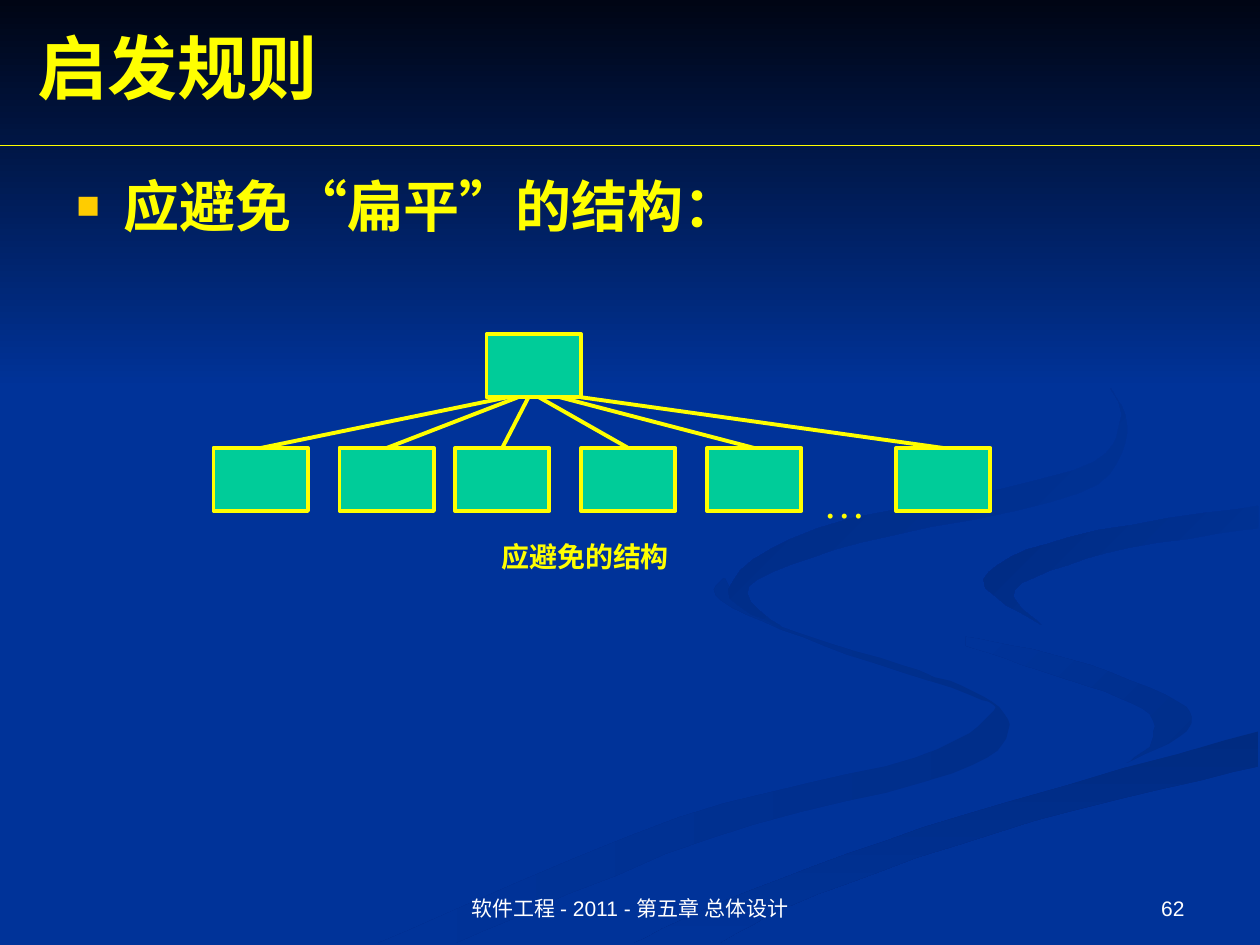
import pptx
import pptx.dml.color
import pptx.enum.shapes
import pptx.enum.text
import pptx.oxml
import pptx.oxml.ns
import pptx.util

Pt = pptx.util.Pt
RGBColor = pptx.dml.color.RGBColor
ALIGN = pptx.enum.text.PP_ALIGN
ANCHOR = pptx.enum.text.MSO_ANCHOR
RECT = pptx.enum.shapes.MSO_SHAPE.RECTANGLE
STRAIGHT = pptx.enum.shapes.MSO_CONNECTOR.STRAIGHT

BLUE = RGBColor(0x00, 0x33, 0x99)
DIM = RGBColor(0x00, 0x2E, 0x8A)
DARK = RGBColor(0x00, 0x2B, 0x81)
NIGHT = RGBColor(0x00, 0x05, 0x14)
YELLOW = RGBColor(0xFF, 0xFF, 0x00)
GREEN = RGBColor(0x00, 0xCC, 0x99)
WHITE = RGBColor(0xFF, 0xFF, 0xFF)
SERIF, SANS = "Times New Roman", "Arial"


def write(shape, text, size, font=SERIF, color=YELLOW, bold=False,
          align=ALIGN.LEFT, anchor=ANCHOR.TOP, bullet=()):
    """Fill a shape with one paragraph; bullet holds XML for its pPr."""
    tf = shape.text_frame
    tf.word_wrap = True
    tf.auto_size = pptx.enum.text.MSO_AUTO_SIZE.NONE
    tf.vertical_anchor = anchor
    p = tf.paragraphs[0]
    p.alignment = align
    p.space_before = Pt(0)
    for xml in bullet:
        p._p.get_or_add_pPr().append(pptx.oxml.parse_xml(xml))
    r = p.add_run()
    r.text = text
    r.font.name, r.font.size, r.font.bold = font, Pt(size), bold
    r.font.color.rgb = color


def shade(shape, start, end, angle):
    """Give a shape a clockwise-angled two-colour gradient and no line."""
    shape.shadow.inherit = False
    shape.line.fill.background()
    shape.fill.gradient()
    shape.fill.gradient_angle = 360 - angle
    for stop, color in zip(shape.fill.gradient_stops, (start, end)):
        stop.color.rgb = color


prs = pptx.Presentation()
prs.slide_width, prs.slide_height = Pt(720), Pt(540)
s = prs.slides.add_slide(prs.slide_layouts[1])
s.background.fill.solid()
s.background.fill.fore_color.rgb = BLUE

# Background ribbons: gradient, then the two edges as spline knots
ribbons = [
    (DIM, BLUE, 180,
     [(414, 330), (433, 353), (515, 380), (562, 398), (576, 418), (544, 442), (406, 479), (260, 539)],
     [(414, 330), (412, 343), (471, 369), (554, 397), (566, 408), (523, 433), (388, 467), (216, 539)]),
    (DIM, BLUE, 225,
     [(552, 364), (612, 377), (673, 401), (678, 418), (644, 436)],
     [(552, 369), (603, 386), (653, 405), (658, 424), (644, 436)]),
    (DARK, BLUE, 90,
     [(719, 418), (550, 466), (431, 508), (362, 539)],
     [(719, 438), (591, 469), (467, 511), (411, 539)]),
    (BLUE, DARK, 225,
     [(719, 289), (611, 307), (562, 331), (595, 357)],
     [(719, 302), (632, 316), (580, 337), (595, 357)]),
    (BLUE, DARK, 225,
     [(634, 221), (644, 248), (616, 282), (492, 310), (428, 335), (448, 360)],
     [(634, 221), (640, 241), (613, 269), (467, 302), (416, 337), (448, 360)]),
]
STEPS = 6
for start, end, angle, *edges in ribbons:
    outline = []
    for knots in (edges[0], edges[1][::-1]):
        padded = [knots[0], *knots, knots[-1]]
        for quad in zip(padded, padded[1:], padded[2:], padded[3:]):
            for t in (i / STEPS for i in range(STEPS)):
                # Catmull-Rom interpolation, for x and y alike
                outline.append([
                    b + t / 2 * (c - a + t * (2*a - 5*b + 4*c - d + t * (3*b - a - 3*c + d)))
                    for a, b, c, d in zip(*quad)])
        outline.append(knots[-1])
    builder = s.shapes.build_freeform(*outline[0], scale=Pt(1))
    builder.add_line_segments(outline[1:], close=True)
    shade(builder.convert_to_shape(), start, end, angle)

sky = s.shapes.add_shape(RECT, 0, 0, prs.slide_width, Pt(222))
shade(sky, NIGHT, BLUE, 90)

# Title and list, brought in front of the background
title, body = s.shapes.title, s.placeholders[1]
for sp, box in ((title, (14.5, 10, 705.5, 55.5)), (body, (36.5, 94.5, 648, 356))):
    sp.left, sp.top, sp.width, sp.height = map(Pt, box)
    s.shapes._spTree.append(sp._element)
write(title, "启发规则", 40, bold=True, anchor=ANCHOR.MIDDLE)

ns = pptx.oxml.ns.nsdecls("a")
write(body, "应避免“扁平”的结构：", 32, bold=True, bullet=(
    f'<a:buClr {ns}><a:srgbClr val="FFCC00"/></a:buClr>',
    f'<a:buSzPct {ns} val="70000"/>',
    f'<a:buFont {ns} typeface="Arial"/>',
    f'<a:buChar {ns} char="■"/>'))
pPr = body.text_frame.paragraphs[0]._p.pPr
pPr.set("marL", str(Pt(27)))
pPr.set("indent", str(Pt(-27)))

# Structure chart: one parent over a flat row of children
modules = []
for x, y in [(278, 191)] + [(x, 256) for x in (122, 194, 260, 332, 404, 512)]:
    sp = s.shapes.add_shape(RECT, Pt(x), Pt(y), Pt(54), Pt(36))
    sp.shadow.inherit = False
    sp.fill.solid()
    sp.fill.fore_color.rgb = GREEN
    sp.line.color.rgb = YELLOW
    sp.line.width = Pt(2.25)
    modules.append(sp)

divider = s.shapes.add_connector(STRAIGHT, 0, Pt(83), prs.slide_width, Pt(83))
lines = [(divider, 0.75)]
for x, child in zip((290, 296, 302, 308, 320, 332), modules[1:]):
    link = s.shapes.add_connector(STRAIGHT, Pt(x), Pt(227), child.left, child.top)
    link.end_connect(child, 0)
    lines.append((link, 2.25))
for line, width in lines:
    line.line.color.rgb = YELLOW
    line.line.width = Pt(width)
    line._element.spPr.append(pptx.oxml.parse_xml(f"<a:effectLst {ns}/>"))

# Labels and footer
footer = dict(font=SANS, color=WHITE, anchor=ANCHOR.BOTTOM)
labels = [
    ((463.5, 268.5, 42, 36), "…", 24, {}),
    ((247.5, 304.5, 174, 26.5), "应避免的结构", 16, dict(bold=True, align=ALIGN.CENTER)),
    ((246, 492, 228, 37.5), "软件工程 - 2011 - 第五章 总体设计", 12,
     dict(footer, align=ALIGN.CENTER)),
    ((516, 492, 168, 37.5), "62", 12, dict(footer, align=ALIGN.RIGHT)),
]
for box, text, size, style in labels:
    write(s.shapes.add_textbox(*map(Pt, box)), text, size, **style)

prs.save("out.pptx")
